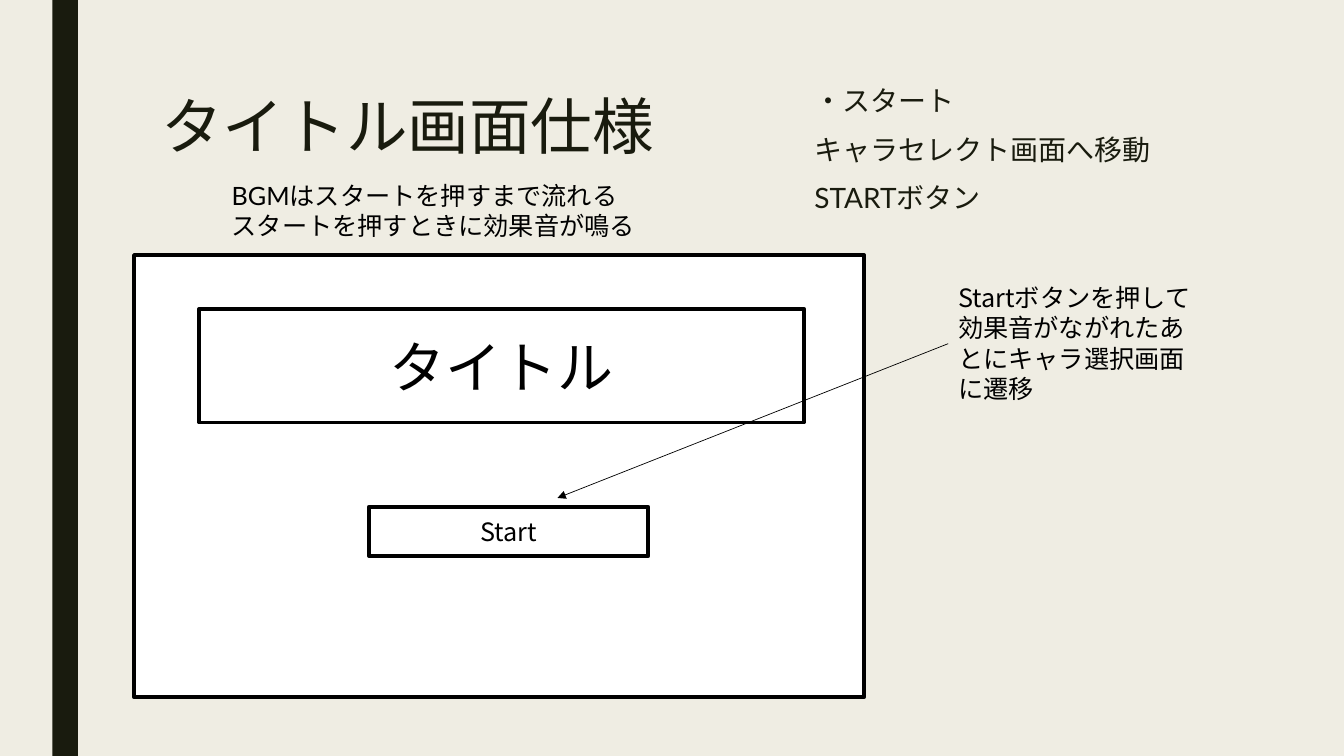
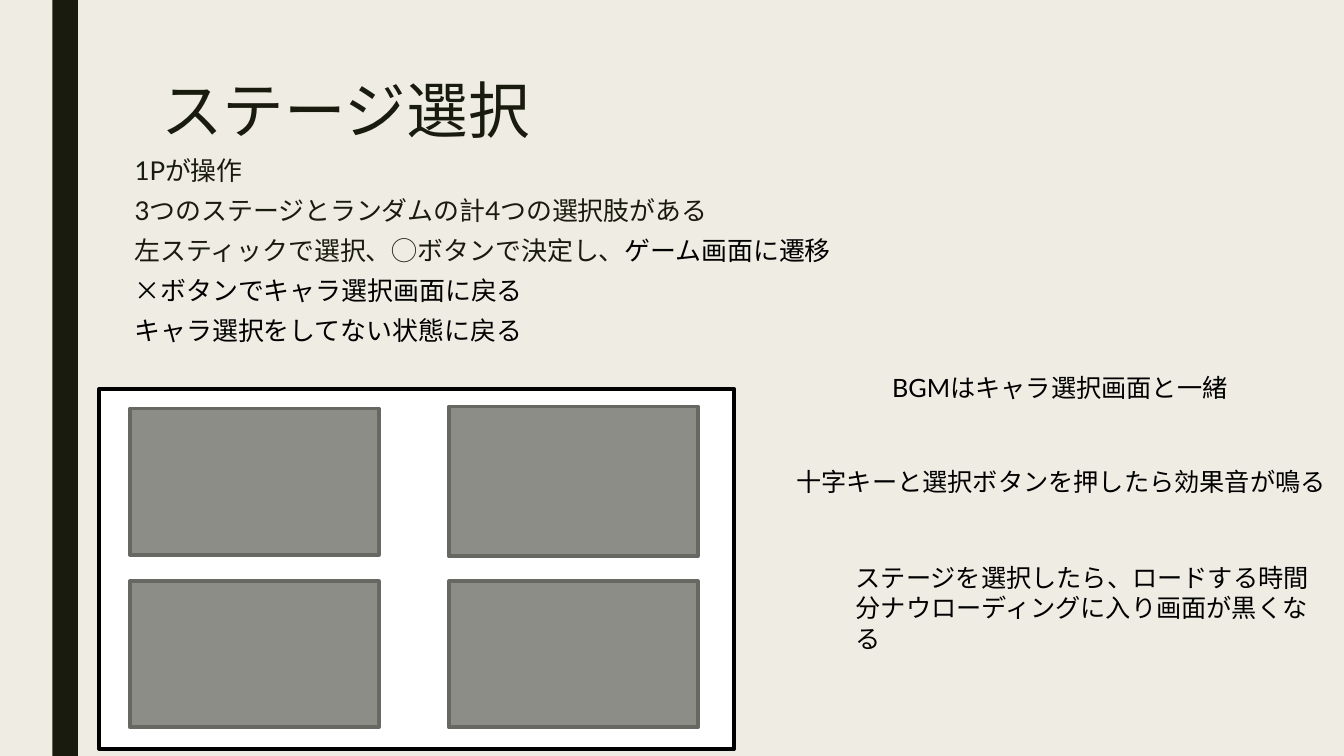
"""Build two game-screen specification slides: the title screen and stage selection."""
from dataclasses import dataclass, replace
from typing import Optional

from lxml.etree import SubElement
from pptx import Presentation
from pptx.dml.color import RGBColor
from pptx.enum.shapes import MSO_CONNECTOR as Connector, MSO_SHAPE as Preset
from pptx.enum.text import MSO_ANCHOR as Anchor, MSO_AUTO_SIZE as AutoSize, PP_ALIGN as Align
from pptx.oxml.ns import qn
from pptx.util import Pt

COLORS = {
    "background": "EFEDE3",
    "dark": "191B0E",
    "black": "000000",
    "white": "FFFFFF",
    "tile": "8C8D86",
    "tile_edge": "686863",
}
LATIN = "Lato"
JAPANESE = "Noto Sans CJK JP"
OUTLINE = 2.75


@dataclass(frozen=True)
class Box:
    left: float
    top: float
    width: float
    height: float

    def lengths(self) -> tuple:
        return Pt(self.left), Pt(self.top), Pt(self.width), Pt(self.height)


@dataclass(frozen=True)
class Style:
    size: float
    font: str = LATIN
    color: str = "black"
    align: Align = Align.LEFT
    line_spacing: Optional[float] = None
    before: float = 0
    after: float = 0


@dataclass(frozen=True)
class Span:
    text: str
    style: Style


@dataclass(frozen=True)
class Panel:
    box: Box
    text: str = ""
    size: float = 18
    fill: str = "white"
    edge: str = "black"


@dataclass(frozen=True)
class Note:
    box: Box
    lines: tuple
    font: str = LATIN


@dataclass(frozen=True)
class Arrow:
    start: tuple
    end: tuple


@dataclass(frozen=True)
class Page:
    title: str
    title_box: Box
    body: tuple
    body_box: Box
    panels: tuple
    notes: tuple
    arrows: tuple = ()


TITLE = Style(44, color="dark", line_spacing=0.89)
BODY = Style(20, color="dark", line_spacing=0.94, before=10, after=2)
DENSE = replace(BODY, size=18.5, line_spacing=0.74)
DENSE_BLACK = replace(DENSE, font=JAPANESE, color="black")


def color(name: str) -> RGBColor:
    return RGBColor.from_string(COLORS[name])


def add_run(paragraph, span: Span) -> None:
    run = paragraph.add_run()
    run.text = span.text
    run.font.size = Pt(span.style.size)
    run.font.name = span.style.font
    run.font.color.rgb = color(span.style.color)
    latin = run._r.get_or_add_rPr().find(qn("a:latin"))
    east_asian = SubElement(latin.getparent(), qn("a:ea"), typeface=span.style.font)
    latin.addnext(east_asian)


def write(frame, lines: tuple) -> None:
    frame.word_wrap = True
    for index, spans in enumerate(lines):
        paragraph = frame.add_paragraph() if index else frame.paragraphs[0]
        style = spans[0].style
        paragraph.alignment = style.align
        paragraph.line_spacing = style.line_spacing
        paragraph.space_before = Pt(style.before)
        paragraph.space_after = Pt(style.after)
        for span in spans:
            add_run(paragraph, span)


def remove_bullets(frame) -> None:
    for paragraph in frame.paragraphs:
        properties = paragraph._p.get_or_add_pPr()
        properties.set("marL", "0")
        properties.set("indent", "0")
        SubElement(properties, qn("a:buNone"))


def fill_placeholder(shape, box: Box, lines: tuple) -> None:
    shape.left, shape.top, shape.width, shape.height = box.lengths()
    frame = shape.text_frame
    frame.auto_size = AutoSize.NONE
    frame.vertical_anchor = Anchor.TOP
    write(frame, lines)


def add_rectangle(slide, box: Box, fill: str):
    shape = slide.shapes.add_shape(Preset.RECTANGLE, *box.lengths())
    shape.shadow.inherit = False
    shape.fill.solid()
    shape.fill.fore_color.rgb = color(fill)
    return shape


def add_panel(slide, panel: Panel) -> None:
    shape = add_rectangle(slide, panel.box, panel.fill)
    shape.line.color.rgb = color(panel.edge)
    shape.line.width = Pt(OUTLINE)
    if panel.text:
        shape.text_frame.vertical_anchor = Anchor.MIDDLE
        style = Style(panel.size, JAPANESE, align=Align.CENTER)
        write(shape.text_frame, ((Span(panel.text, style),),))


def add_note(slide, note: Note) -> None:
    frame = slide.shapes.add_textbox(*note.box.lengths()).text_frame
    frame.auto_size = AutoSize.SHAPE_TO_FIT_TEXT
    write(frame, tuple((Span(line, Style(18, note.font)),) for line in note.lines))


def add_arrow(slide, arrow: Arrow) -> None:
    points = (Pt(value) for value in arrow.start + arrow.end)
    connector = slide.shapes.add_connector(Connector.STRAIGHT, *points)
    connector.line.color.rgb = color("black")
    connector.line.width = Pt(0.5)
    properties = connector.element.spPr
    SubElement(properties.find(qn("a:ln")), qn("a:tailEnd"), type="triangle")
    SubElement(properties, qn("a:effectLst"))


def style_master(presentation, slide) -> None:
    master = presentation.slide_master
    master.background.fill.solid()
    master.background.fill.fore_color.rgb = color("background")
    band = add_rectangle(slide, Box(37.5, 0, 18.2, 540), "dark")
    band.line.fill.background()
    band.element.nvSpPr.cNvPr.set("id", "20")
    master.shapes.element.insert(2, band.element)


def draw_page(slide, page: Page) -> None:
    title, body = slide.placeholders
    fill_placeholder(title, page.title_box, ((Span(page.title, TITLE),),))
    fill_placeholder(body, page.body_box, page.body)
    remove_bullets(body.text_frame)
    for panel in page.panels:
        add_panel(slide, panel)
    for arrow in page.arrows:
        add_arrow(slide, arrow)
    for note in page.notes:
        add_note(slide, note)


def stage_tiles() -> tuple:
    rows = (((291.8, 104.4), (290.4, 107)), ((415.2, 104.4), (415.2, 104.4)))
    return tuple(
        Panel(Box(92.9 + column * 227.7, top, 177.8, height), fill="tile", edge="tile_edge")
        for row in rows
        for column, (top, height) in enumerate(row)
    )


TITLE_SCREEN = Page(
    title="タイトル画面仕様",
    title_box=Box(108, 65.5, 756, 116.6),
    body=(
        (Span("・スタート", BODY),),
        (Span("キャラセレクト画面へ移動", BODY),),
        (Span("STARTボタン", BODY),),
    ),
    body_box=Box(574.5, 58.3, 289.5, 108.7),
    panels=(
        Panel(Box(95.8, 182.2, 521.3, 315.9)),
        Panel(Box(142.3, 220.6, 432, 81.2), "タイトル", 40),
        Panel(Box(263.5, 362, 199.6, 35.2), "Start"),
    ),
    arrows=(Arrow((677.3, 245.5), (398.2, 355.7)),),
    notes=(
        Note(Box(677.3, 198.2, 192.2, 94.3),
             ("Startボタンを押して効果音がながれたあとにキャラ選択画面に遷移",), JAPANESE),
        Note(Box(158.4, 125.3, 365, 51.1),
             ("BGMはスタートを押すまで流れる", "スタートを押すときに効果音が鳴る")),
    ),
)

STAGE_SELECTION = Page(
    title="ステージ選択",
    title_box=Box(108, 54, 756, 116.6),
    body=(
        (Span("1Pが操作", DENSE),),
        (Span("3つのステージとランダムの計4つの選択肢がある", DENSE),),
        (Span("左スティックで選択、◯ボタンで決定し、", DENSE),
         Span("ゲーム画面に遷移", DENSE_BLACK)),
        (Span("×ボタンでキャラ選択画面に戻る", DENSE_BLACK),),
        (Span("キャラ選択をしてない状態に戻る", DENSE_BLACK),),
    ),
    body_box=Box(88.9, 112.3, 756, 145.4),
    panels=(Panel(Box(70.9, 277.9, 453.6, 257)),) + stage_tiles(),
    notes=(
        Note(Box(561.9, 329.8, 398, 29),
             ("十字キーと選択ボタンを押したら効果音が鳴る",)),
        Note(Box(604.1, 398.2, 340.6, 72.7),
             ("ステージを選択したら、ロードする時間分ナウローディングに入り画面が黒くなる",)),
        Note(Box(630.2, 262.5, 300.2, 28.8), ("BGMはキャラ選択画面と一緒",)),
    ),
)


def main() -> None:
    presentation = Presentation()
    presentation.slide_width, presentation.slide_height = Pt(960), Pt(540)
    layout = presentation.slide_layouts.get_by_name("Title and Content")
    for index, page in enumerate((TITLE_SCREEN, STAGE_SELECTION)):
        slide = presentation.slides.add_slide(layout)
        if index == 0:
            style_master(presentation, slide)
        draw_page(slide, page)
    presentation.save("out.pptx")


main()
